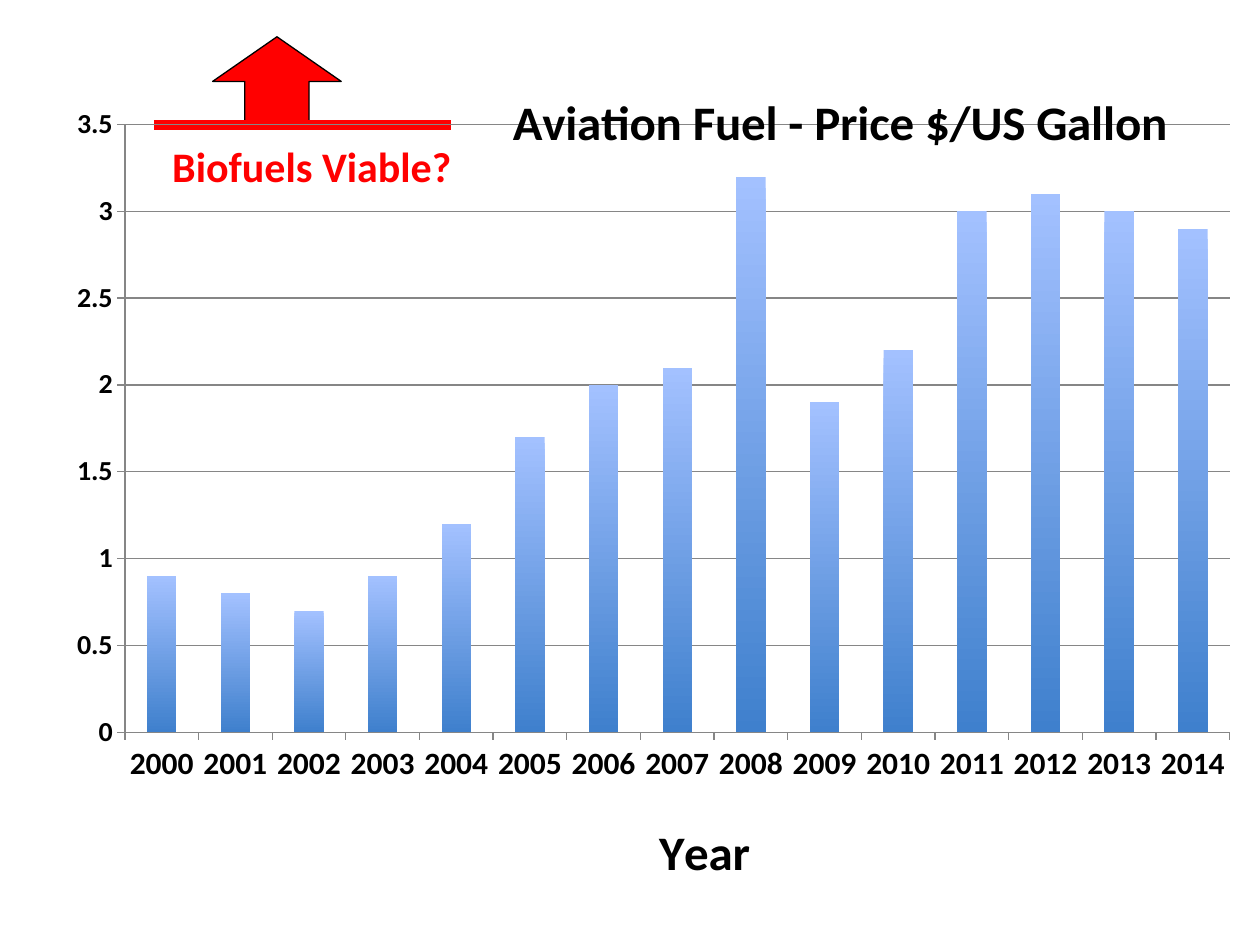
from dataclasses import dataclass

from lxml import etree
from pptx import Presentation
from pptx import util as u
from pptx.chart import data as chart_data
from pptx.dml import color
from pptx.enum import chart as ec
from pptx.enum import shapes, text
from pptx.oxml import ns, parse_xml

Pt = u.Pt
PRICES = {
    "2000": 0.9, "2001": 0.8, "2002": 0.7, "2003": 0.9, "2004": 1.2,
    "2005": 1.7, "2006": 2, "2007": 2.1, "2008": 3.2, "2009": 1.9,
    "2010": 2.2, "2011": 3, "2012": 3.1, "2013": 3, "2014": 2.9,
}


@dataclass(frozen=True)
class Theme:
    """Colours, font and type sizes of the slide."""
    font: str = "Calibri"
    ink: str = "000000"
    alert: str = "FF0000"
    grid: str = "868686"
    bar_top: str = "A3C1FF"
    bar_bottom: str = "3F80CD"
    title_size: int = 28
    label_size: int = 24
    year_size: int = 18
    price_size: int = 16
    base_size: int = 10


THEME = Theme()


def rgb(code):
    """Turn a hex code into a colour."""
    return color.RGBColor.from_string(code)


def set_all(target, values):
    """Set every attribute named in a dict."""
    for name, value in values.items():
        setattr(target, name, value)


def style_font(font, size, ink=THEME.ink, bold=True):
    """Apply the theme font at a size."""
    set_all(font, {"name": THEME.font, "size": Pt(size), "bold": bold})
    font.color.rgb = rgb(ink)


def style_line(line, ink, width):
    """Give a line its colour and width."""
    line.color.rgb = rgb(ink)
    line.width = Pt(width)


def place_in_chart(parent, **fractions):
    """Fix a chart part at fractions of the chart area."""
    for old in parent.findall(ns.qn("c:layout")):
        parent.remove(old)
    entries = "".join(f'<c:{key} val="{value}"/>' for key, value in fractions.items())
    layout = parse_xml(
        f'<c:layout {ns.nsdecls("c")}><c:manualLayout>{entries}</c:manualLayout></c:layout>'
    )
    before = parent.find(ns.qn("c:tx"))
    parent.insert(0 if before is None else parent.index(before) + 1, layout)


def add_chart_title(title, wording, x, y):
    """Write a chart or axis title and fix its corner."""
    frame = title.text_frame
    frame.text = wording
    style_font(frame.paragraphs[0].runs[0].font, THEME.title_size)
    place_in_chart(title._element, xMode="edge", yMode="edge", x=x, y=y)


def style_axis(axis, size):
    """Style one axis with its labels and ticks."""
    set_all(axis, {
        "major_tick_mark": ec.XL_TICK_MARK.OUTSIDE,
        "minor_tick_mark": ec.XL_TICK_MARK.NONE,
    })
    style_font(axis.tick_labels.font, size)
    style_line(axis.format.line, THEME.grid, 0.75)


def add_price_chart(slide, left, top, width, height):
    """Draw the yearly fuel prices as columns."""
    prices = chart_data.CategoryChartData()
    prices.categories = list(PRICES)
    prices.add_series("Series 1", list(PRICES.values()))
    chart = slide.shapes.add_chart(
        ec.XL_CHART_TYPE.COLUMN_CLUSTERED,
        Pt(left), Pt(top), Pt(width), Pt(height), prices,
    ).chart
    chart.has_legend = False
    style_font(chart.font, THEME.base_size, bold=False)
    space = chart._chartSpace
    space.chart.addnext(parse_xml(
        f'<c:spPr {ns.nsdecls("c", "a")}><a:noFill/><a:ln><a:noFill/></a:ln></c:spPr>'
    ))
    add_chart_title(chart.chart_title, "Aviation Fuel - Price $/US Gallon", 0.374, 0.007)
    add_chart_title(chart.category_axis.axis_title, "Year", 0.495, 0.91)
    style_axis(chart.category_axis, THEME.year_size)
    style_axis(chart.value_axis, THEME.price_size)
    set_all(chart.value_axis, {
        "minimum_scale": 0, "maximum_scale": 3.5, "major_unit": 0.5,
        "has_major_gridlines": True,
    })
    set_all(chart.value_axis.tick_labels, {
        "number_format": "General", "number_format_is_linked": False,
    })
    style_line(chart.value_axis.major_gridlines.format.line, THEME.grid, 0.75)
    plot = chart.plots[0]
    set_all(plot, {"gap_width": 150, "vary_by_categories": False})
    fill = plot.series[0].format.fill
    fill.gradient()
    fill.gradient_angle = 270
    for stop, code, position in zip(
        fill.gradient_stops, (THEME.bar_top, THEME.bar_bottom), (0, 1)
    ):
        stop.color.rgb = rgb(code)
        stop.position = position
    place_in_chart(
        space.chart.plotArea, layoutTarget="inner", xMode="edge", yMode="edge",
        x=0.06, y=0.061, w=0.915, h=0.752,
    )


def add_biofuel_marker(slide, left, top, width, height):
    """Draw the arrow, label and threshold line for biofuels."""
    arrow = slide.shapes.add_shape(
        shapes.MSO_SHAPE.DOWN_ARROW, Pt(left + 51), Pt(top), Pt(73.5), Pt(51)
    )
    arrow.rotation = 180
    arrow.shadow.inherit = False
    arrow.fill.solid()
    arrow.fill.fore_color.rgb = rgb(THEME.alert)
    style_line(arrow.line, THEME.ink, 0.75)

    label = slide.shapes.add_textbox(
        Pt(left), Pt(top + height - 36), Pt(width), Pt(36)
    ).text_frame
    set_all(label, {"word_wrap": True, "auto_size": text.MSO_AUTO_SIZE.SHAPE_TO_FIT_TEXT})
    paragraph = label.paragraphs[0]
    paragraph.alignment = text.PP_ALIGN.CENTER
    run = paragraph.add_run()
    run.text = "Biofuels Viable?"
    style_font(run.font, THEME.label_size, THEME.alert)

    threshold = slide.shapes.add_connector(
        shapes.MSO_CONNECTOR.STRAIGHT,
        Pt(left + 17.5), Pt(top + 50.5), Pt(left + 187.5), Pt(top + 50.5),
    )
    style_line(threshold.line, THEME.alert, 6)
    etree.SubElement(threshold._element.spPr, ns.qn("a:effectLst"))


def main():
    """Build and save the slide."""
    deck = Presentation()
    set_all(deck, {"slide_width": Pt(720), "slide_height": Pt(540)})
    slide = deck.slides.add_slide(deck.slide_layouts[6])
    add_biofuel_marker(slide, 70.5, 21, 215.5, 92)
    add_price_chart(slide, 30, 43, 690, 470)
    deck.save("out.pptx")


if __name__ == "__main__":
    main()
